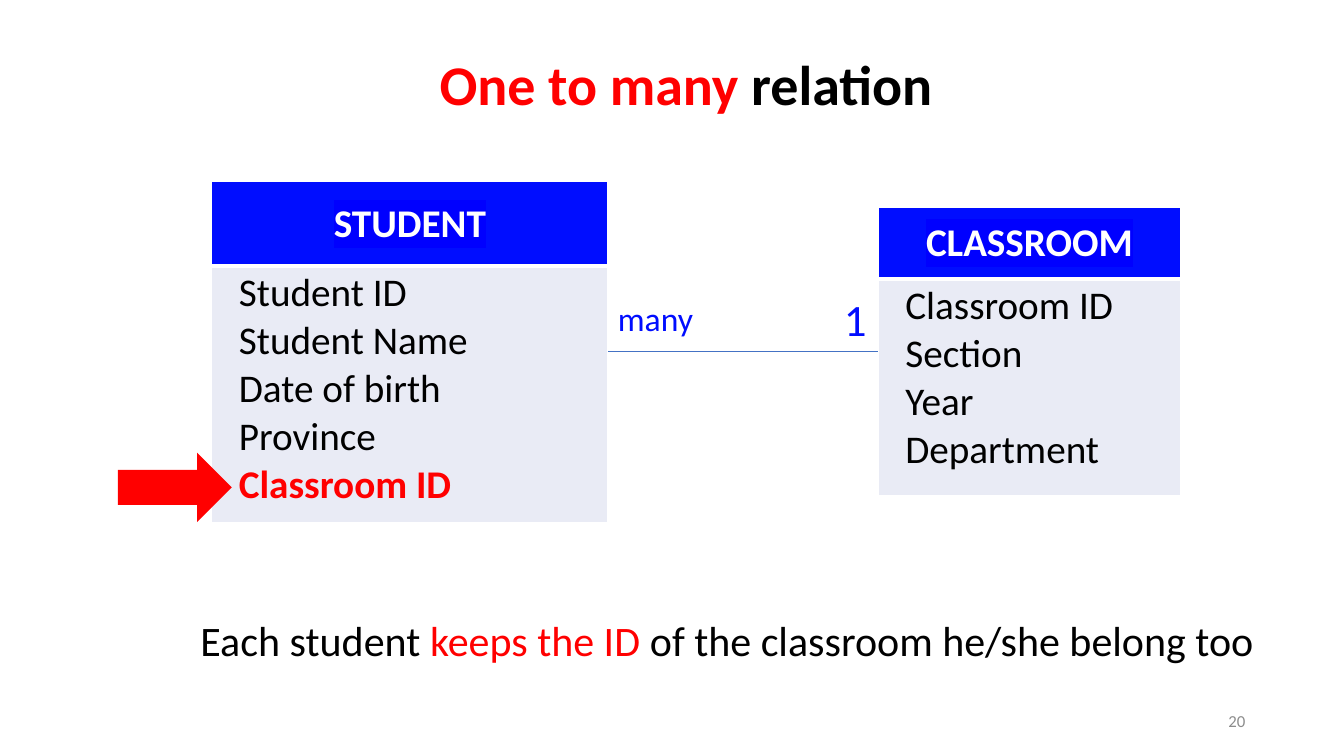
from lxml.etree import SubElement
from pptx import Presentation
from pptx.dml.color import RGBColor
from pptx.enum.shapes import MSO_CONNECTOR, MSO_SHAPE
from pptx.enum.text import MSO_ANCHOR, MSO_AUTO_SIZE, PP_ALIGN
from pptx.oxml import parse_xml
from pptx.oxml.ns import nsdecls, qn
from pptx.util import Pt

PX = 9144  # EMU per px, 100 px to the inch
FONT = "Calibri"
COLORS = {
    "black": "000000",
    "white": "FFFFFF",
    "red": "FF0000",
    "blue": "000DFF",
    "highlight": "0000FF",
    "cell": "E9EBF5",
    "line": "4472C4",
    "grey": "8C8C8C",
}


def px(*values):
    return [v * PX for v in values]


def rgb(name):
    return RGBColor.from_string(COLORS[name])


def add_run(p, text, size=28, color="black", bold=False, highlight=None):
    r = p.add_run()
    r.text = text
    r.font.size = Pt(size)
    r.font.bold = bold
    r.font.color.rgb = rgb(color)
    if highlight:
        mark = parse_xml(f'<a:highlight {nsdecls("a")}>'
                         f'<a:srgbClr val="{COLORS[highlight]}"/></a:highlight>')
        r.font._element.find(qn("a:solidFill")).addnext(mark)
    r.font.name = FONT


def add_label(s, box, runs, size, align=PP_ALIGN.LEFT,
              anchor=MSO_ANCHOR.TOP, wrap=True):
    tf = s.shapes.add_textbox(*px(*box)).text_frame
    tf.word_wrap = wrap
    tf.vertical_anchor = anchor
    p = tf.paragraphs[0]
    p.alignment = align
    for text, color in runs:
        add_run(p, text, size, color)


def add_title(s, box, runs):
    title = s.shapes.title
    title.left, title.top, title.width, title.height = px(*box)
    tf = title.text_frame
    tf.auto_size = MSO_AUTO_SIZE.NONE
    tf.vertical_anchor = MSO_ANCHOR.TOP
    p = tf.paragraphs[0]
    p.alignment = PP_ALIGN.LEFT
    for text, color in runs:
        add_run(p, text, 40, color, bold=True)


def format_cell(cell, fill, left, bottom_line):
    cell.margin_left, cell.margin_right = px(left, 7)
    cell.margin_top, cell.margin_bottom = px(3, 3)
    cell.fill.solid()
    cell.fill.fore_color.rgb = rgb(fill)
    # Borders stand before the fill
    widths = {"lnL": 1, "lnR": 1, "lnT": 1, "lnB": bottom_line}
    for i, (side, width) in enumerate(widths.items()):
        ln = parse_xml(f'<a:{side} {nsdecls("a")} w="{Pt(width)}"><a:solidFill>'
                       f'<a:srgbClr val="{COLORS["white"]}"/></a:solidFill></a:{side}>')
        cell._tc.get_or_add_tcPr().insert(i, ln)


def add_entity(s, box, head_height, name, fields, foreign_key=None):
    table = s.shapes.add_table(2, 1, *px(*box)).table
    table.horz_banding = False
    table.rows[0].height, table.rows[1].height = px(head_height, box[3] - head_height)
    head, body = table.cell(0, 0), table.cell(1, 0)

    # Entity name
    format_cell(head, "blue", 7, 3)
    head.vertical_anchor = MSO_ANCHOR.MIDDLE
    p = head.text_frame.paragraphs[0]
    p.alignment = PP_ALIGN.CENTER
    add_run(p, name, color="white", bold=True, highlight="highlight")

    # Fields, one a paragraph
    format_cell(body, "cell", 27, 1)
    tf = body.text_frame
    for i, field in enumerate(fields):
        p = tf.add_paragraph() if i else tf.paragraphs[0]
        is_key = field == foreign_key
        add_run(p, field, color="red" if is_key else "black", bold=is_key)


def add_line(s, x1, y1, x2, y2):
    line = s.shapes.add_connector(MSO_CONNECTOR.STRAIGHT, *px(x1, y1, x2, y2))
    line.line.color.rgb = rgb("line")
    line.line.width = Pt(0.5)
    SubElement(line._element.spPr, qn("a:effectLst"))


def add_arrow(s, box):
    arrow = s.shapes.add_shape(MSO_SHAPE.RIGHT_ARROW, *px(*box))
    arrow.shadow.inherit = False
    arrow.fill.solid()
    arrow.fill.fore_color.rgb = rgb("red")
    arrow.line.fill.background()


def main():
    prs = Presentation()
    prs.slide_width, prs.slide_height = px(1333, 750)
    s = prs.slides.add_slide(prs.slide_layouts[5])

    add_title(s, (426, 44, 537, 77), [("One to many ", "red"), ("relation", "black")])

    # Entities
    add_entity(s, (210, 180, 393, 338), 84, "STUDENT",
               ["Student ID", "Student Name", "Date of birth", "Province", "Classroom ID"],
               foreign_key="Classroom ID")
    add_entity(s, (871, 206, 300, 286), 71, "CLASSROOM",
               ["Classroom ID", "Section", "Year", "Department"])

    # Relation with its cardinalities
    add_line(s, 603, 349, 871, 349)
    add_label(s, (827, 284, 41, 64), [("1", "blue")], 32)
    add_label(s, (603, 291, 115, 50), [("many", "blue")], 24)

    # Foreign key pointer and explanation
    add_arrow(s, (117, 449, 113, 69))
    add_label(s, (189, 605, 1074, 61),
              [("Each student ", "black"), ("keeps the ID ", "red"),
               ("of the classroom he/she belong too", "black")], 30, wrap=False)

    # Slide number
    add_label(s, (945, 695, 300, 40), [("20", "grey")], 12,
              align=PP_ALIGN.RIGHT, anchor=MSO_ANCHOR.MIDDLE)

    prs.save("out.pptx")


if __name__ == "__main__":
    main()
